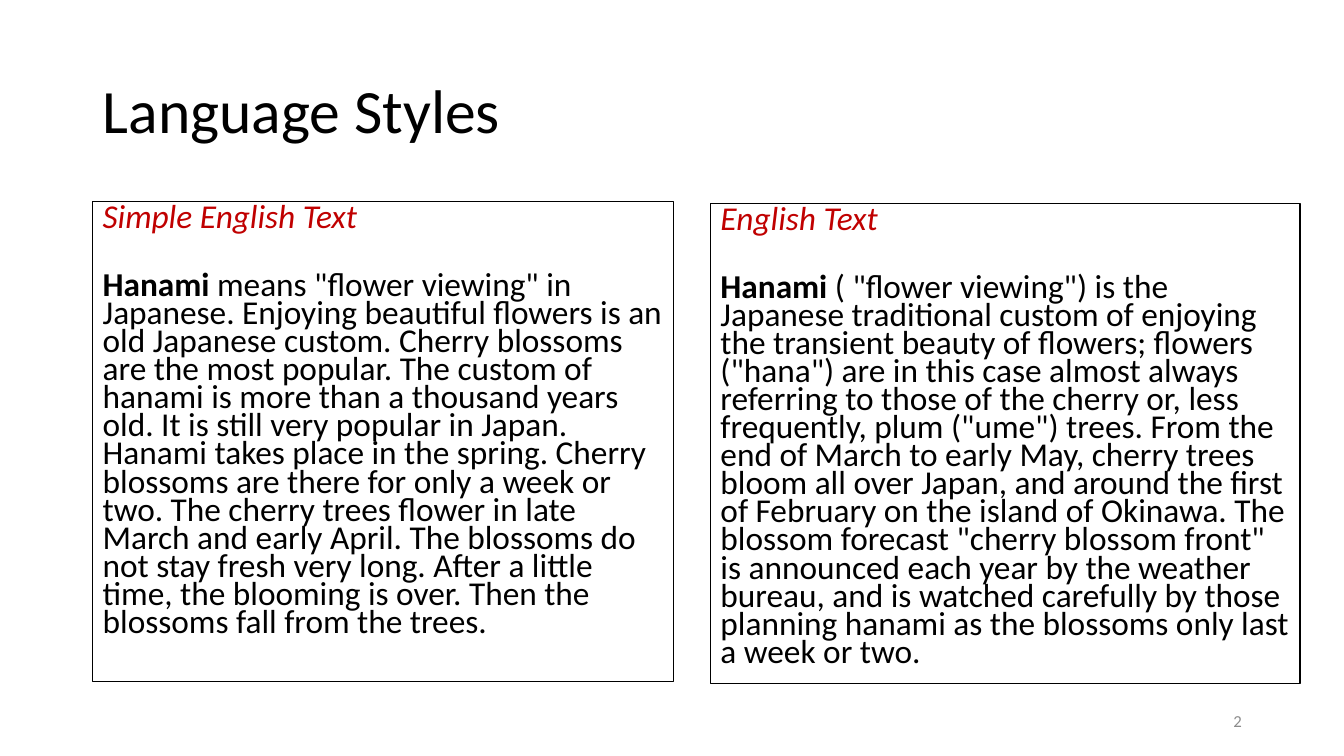
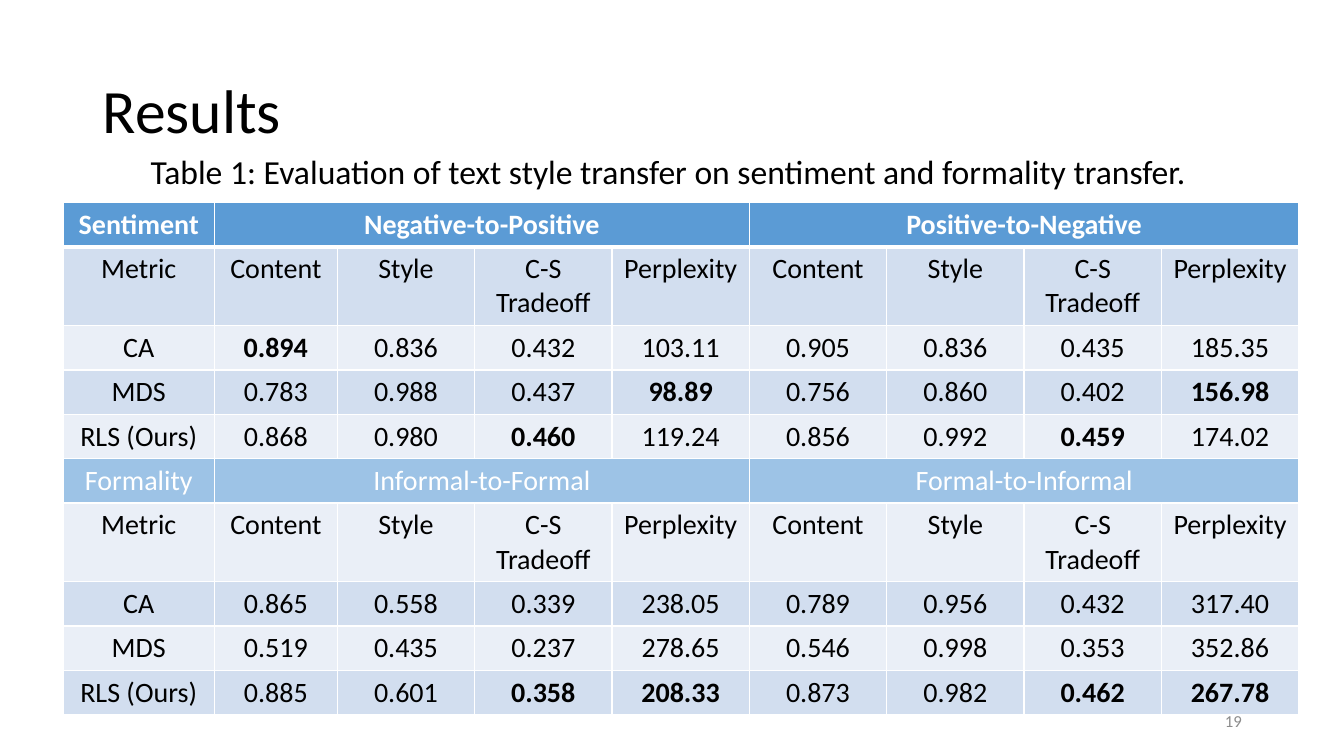
from dataclasses import dataclass

from lxml import etree
from pptx import Presentation
from pptx.dml.color import RGBColor
from pptx.enum.shapes import MSO_SHAPE
from pptx.enum.text import MSO_ANCHOR, PP_ALIGN
from pptx.oxml.ns import qn
from pptx.util import Inches, Pt

LEFT, CENTER, RIGHT = PP_ALIGN.LEFT, PP_ALIGN.CENTER, PP_ALIGN.RIGHT
TOP, MIDDLE = MSO_ANCHOR.TOP, MSO_ANCHOR.MIDDLE
RECTANGLE = MSO_SHAPE.RECTANGLE
BLANK_LAYOUT = 6
GRID_STEPS = 100


@dataclass(frozen=True)
class Theme:
    font: str = "Calibri"
    ink: str = "000000"
    paper: str = "FFFFFF"
    accent: str = "C00000"
    muted: str = "8C8C8C"
    header: str = "5B9BD5"
    subheader: str = "9DC3E6"
    bands: tuple = ("EAEFF7", "D2DEEF")
    title_size: float = 44
    caption_size: float = 24
    passage_size: float = 23.8
    cell_size: float = 20
    number_size: float = 12
    outline: float = 1
    header_rule: float = 3


class Slides:
    def __init__(self, theme):
        self.theme = theme
        self.deck = Presentation()
        self.deck.slide_width = Inches(13.33)
        self.deck.slide_height = Inches(7.5)
        self.page = None

    def across(self, columns):
        return round(self.deck.slide_width * columns / GRID_STEPS)

    def down(self, rows):
        return round(self.deck.slide_height * rows / GRID_STEPS)

    def place(self, left, top, width, height):
        return self.across(left), self.down(top), self.across(width), self.down(height)

    def span(self, para, text, size, color, bold=False, italic=False):
        span = para.add_run()
        span.text = text
        span.font.name = self.theme.font
        span.font.size = Pt(size)
        span.font.bold = bold
        span.font.italic = italic
        span.font.color.rgb = RGBColor.from_string(color)

    def text(self, area, text, size, color, align=LEFT, anchor=TOP, spacing=1.0):
        box = self.page.shapes.add_textbox(*self.place(*area))
        box.text_frame.word_wrap = True
        box.text_frame.vertical_anchor = anchor
        para = box.text_frame.paragraphs[0]
        para.alignment = align
        para.line_spacing = spacing
        self.span(para, text, size, color)

    def add_page(self, title, number):
        theme = self.theme
        self.page = self.deck.slides.add_slide(self.deck.slide_layouts[BLANK_LAYOUT])
        self.text((6.9, 5.33, 86.25, 19.33), title, theme.title_size, theme.ink,
                  anchor=MIDDLE, spacing=0.9)
        self.text((70.65, 92.67, 22.5, 5.33), number, theme.number_size, theme.muted,
                  align=RIGHT, anchor=MIDDLE)

    def caption(self, area, text):
        self.text(area, text, self.theme.caption_size, self.theme.ink, align=CENTER)

    def passage(self, area, heading, keyword, body):
        theme = self.theme
        box = self.page.shapes.add_shape(RECTANGLE, *self.place(*area))
        box.shadow.inherit = False
        box.fill.solid()
        box.fill.fore_color.rgb = RGBColor.from_string(theme.paper)
        box.line.color.rgb = RGBColor.from_string(theme.ink)
        box.line.width = Pt(theme.outline)
        frame = box.text_frame
        frame.word_wrap = True
        frame.vertical_anchor = TOP
        heading_para, body_para = frame.paragraphs[0], frame.add_paragraph()
        for para, gap in ((heading_para, 10), (body_para, 28.5)):
            para.alignment = LEFT
            para.line_spacing = 0.7
            para.space_before = Pt(gap)
        self.span(heading_para, heading, theme.passage_size, theme.accent, italic=True)
        self.span(body_para, keyword, theme.passage_size, theme.ink, bold=True)
        self.span(body_para, body, theme.passage_size, theme.ink)

    def borders(self, cell, widths):
        properties = cell._tc.get_or_add_tcPr()
        for index, (side, width) in enumerate(widths.items()):
            line = etree.Element(qn(f"a:ln{side}"), w=str(Pt(width)))
            fill = etree.SubElement(line, qn("a:solidFill"))
            etree.SubElement(fill, qn("a:srgbClr"), val=self.theme.paper)
            properties.insert(index, line)

    def cell(self, cell, text, fill, color, bold, widths):
        cell.fill.solid()
        cell.fill.fore_color.rgb = RGBColor.from_string(fill)
        self.borders(cell, widths)
        if text:
            para = cell.text_frame.paragraphs[0]
            para.alignment = CENTER
            self.span(para, text, self.theme.cell_size, color, bold)

    def table(self, left, top, columns, heights, rows, group_size):
        theme = self.theme
        area = self.place(left, top, sum(columns), sum(heights))
        table = self.page.shapes.add_table(len(rows), len(columns), *area).table
        table.first_row = table.horz_banding = False
        for column, width in zip(table.columns, columns):
            column.width = self.across(width)
        for index, (row, height, values) in enumerate(zip(table.rows, heights, rows)):
            row.height = self.down(height)
            is_group = len(values) < len(columns)
            fill, color = theme.bands[index % 2], theme.ink
            if is_group:
                fill = theme.subheader if index else theme.header
                color = theme.paper
                starts = range(1, len(columns), group_size)
                for start in starts:
                    table.cell(index, start).merge(table.cell(index, start + group_size - 1))
                labels = dict(zip((0, *starts), values))
            else:
                labels = dict(enumerate(values))
            widths = dict.fromkeys("LRTB", theme.outline)
            if index == 0:
                widths["B"] = theme.header_rule
            if index == 1:
                widths["T"] = theme.header_rule
            for position in range(len(columns)):
                label = labels.get(position, "")
                bold = index == 0 or label.startswith("*")
                self.cell(table.cell(index, position), label.lstrip("*"),
                          fill, color, bold, widths)

    def save(self):
        self.deck.save("out.pptx")


SIMPLE_BODY = (
    " means \"flower viewing\" in Japanese. Enjoying beautiful flowers is an "
    "old Japanese custom. Cherry blossoms are the most popular. The custom of "
    "hanami is more than a thousand years old. It is still very popular in Japan. "
    "Hanami takes place in the spring. Cherry blossoms are there for only a week "
    "or two. The cherry trees flower in late March and early April. The blossoms "
    "do not stay fresh very long. After a little time, the blooming is over. "
    "Then the blossoms fall from the trees."
)
ENGLISH_BODY = (
    " ( \"flower viewing\") is the Japanese traditional custom of enjoying the "
    "transient beauty of flowers; flowers (\"hana\") are in this case almost always "
    "referring to those of the cherry or, less frequently, plum (\"ume\") trees. "
    "From the end of March to early May, cherry trees bloom all over Japan, and "
    "around the first of February on the island of Okinawa. The blossom forecast "
    "\"cherry blossom front\" is announced each year by the weather bureau, and is "
    "watched carefully by those planning hanami as the blossoms only last a week or two."
)
METRICS = ["Metric"] + ["Content", "Style", "C-S Tradeoff", "Perplexity"] * 2
RESULTS = [
    ["Sentiment", "Negative-to-Positive", "Positive-to-Negative"],
    METRICS,
    ["CA", "*0.894", "0.836", "0.432", "103.11", "0.905", "0.836", "0.435", "185.35"],
    ["MDS", "0.783", "0.988", "0.437", "*98.89", "0.756", "0.860", "0.402", "*156.98"],
    ["RLS (Ours)", "0.868", "0.980", "*0.460", "119.24", "0.856", "0.992", "*0.459", "174.02"],
    ["Formality", "Informal-to-Formal", "Formal-to-Informal"],
    METRICS,
    ["CA", "0.865", "0.558", "0.339", "238.05", "0.789", "0.956", "0.432", "317.40"],
    ["MDS", "0.519", "0.435", "0.237", "278.65", "0.546", "0.998", "0.353", "352.86"],
    ["RLS (Ours)", "0.885", "0.601", "*0.358", "*208.33", "0.873", "0.982", "*0.462", "*267.78"],
]


def main():
    slides = Slides(Theme())

    slides.add_page("Language Styles", "2")
    slides.passage((6.9, 26.67, 43.2, 63.47), "Simple English Text", "Hanami", SIMPLE_BODY)
    slides.passage((52.87, 26.93, 43.87, 63.47), "English Text", "Hanami", ENGLISH_BODY)

    slides.add_page("Results", "19")
    heights = [10.4 if row is METRICS else 5.87 for row in RESULTS]
    slides.table(4.7, 26.8, [11.25, 9.15] + [10.22] * 7, heights, RESULTS, group_size=4)
    slides.caption((0, 19.33, 100, 6.67),
                   "Table 1: Evaluation of text style transfer on sentiment and formality transfer. ")

    slides.save()


if __name__ == "__main__":
    main()
